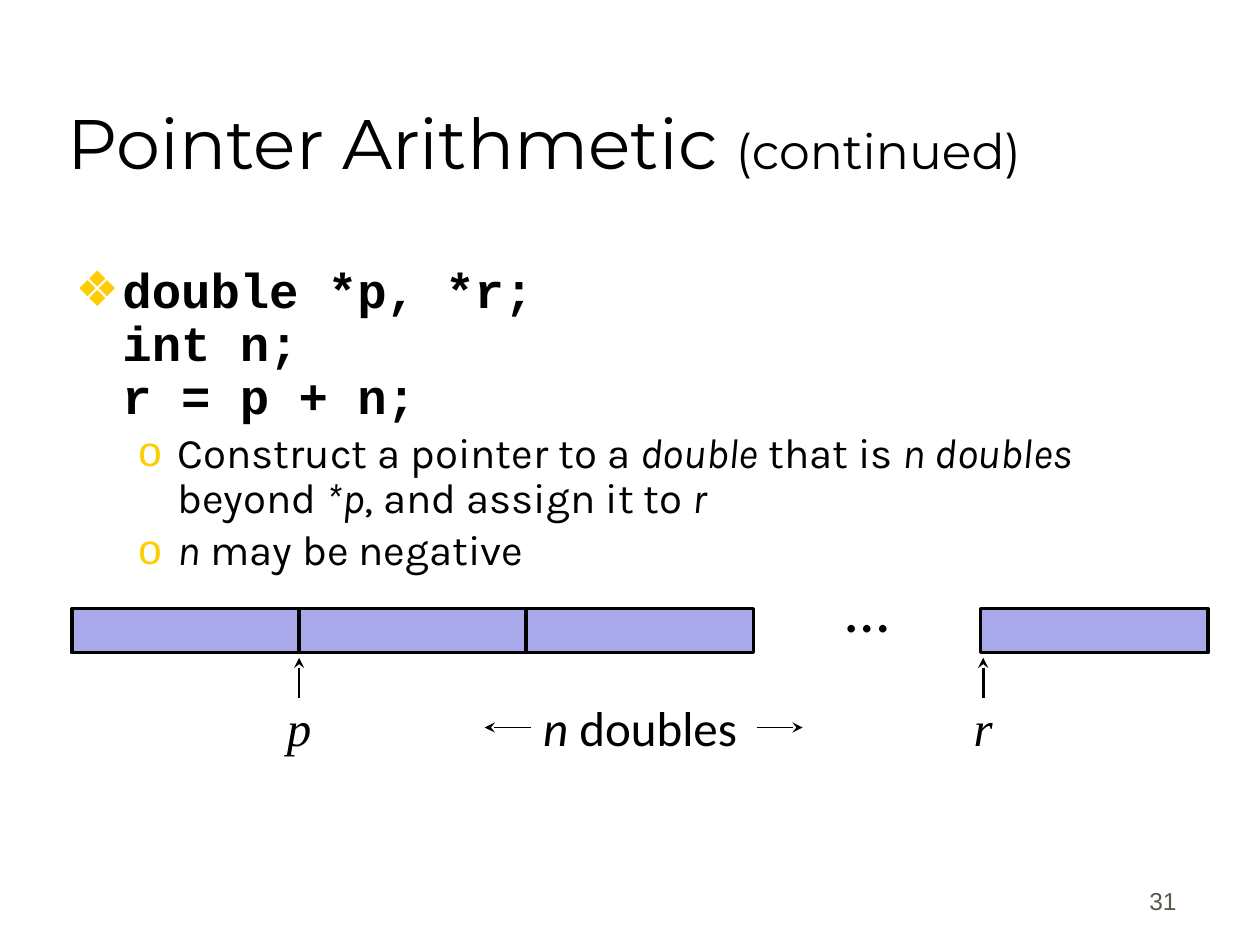
from lxml import etree
from pptx import Presentation
from pptx.dml.color import RGBColor
from pptx.enum import shapes, text
from pptx.oxml import ns
from pptx.util import Cm, Pt

BLACK, GOLD, LILAC, GREY = "000000", "FFCC00", "A8A8EA", "5E574E"
ALIGN = text.PP_ALIGN


def rgb(value):
    return RGBColor.from_string(value)


def add_text(s, box, paragraphs, wrap=True, grow=False, inset=None,
             anchor=text.MSO_ANCHOR.TOP, **fmt):
    """Add a text box; each paragraph is (runs, options), box is in cm."""
    tf = s.shapes.add_textbox(*map(Cm, box)).text_frame
    tf.word_wrap = wrap
    tf.vertical_anchor = anchor
    tf.auto_size = (text.MSO_AUTO_SIZE.SHAPE_TO_FIT_TEXT if grow
                    else text.MSO_AUTO_SIZE.NONE)
    if inset is not None:
        tf.margin_left = tf.margin_top = tf.margin_right = tf.margin_bottom = Cm(inset)
    for i, (runs, options) in enumerate(paragraphs):
        p = tf.add_paragraph() if i else tf.paragraphs[0]
        fill_paragraph(p, runs, **{**fmt, **options})
    return tf


def fill_paragraph(p, runs, align=ALIGN.LEFT, before=0, spacing=None,
                   bullet=None, indent=None, **font):
    p.alignment = align
    p.space_before = Pt(before)
    if spacing:
        p.line_spacing = spacing
    if bullet:
        add_bullet(p, bullet, *indent)
    for content, changes in runs:
        for i, line in enumerate(content.split("\n")):
            if i:
                p.add_line_break()
            add_run(p, line, **{**font, **changes})


def add_run(p, content, size, name, color=BLACK, bold=False, italic=False):
    r = p.add_run()
    r.text = content
    r.font.size, r.font.name = Pt(size), name
    r.font.bold, r.font.italic = bold, italic
    r.font.color.rgb = rgb(color)


def add_bullet(p, char, left, hanging):
    pPr = p._p.get_or_add_pPr()
    pPr.set("marL", str(Cm(left)))
    pPr.set("indent", str(-Cm(hanging)))
    color = etree.SubElement(pPr, ns.qn("a:buClr"))
    etree.SubElement(color, ns.qn("a:srgbClr"), val=GOLD)
    etree.SubElement(pPr, ns.qn("a:buFont"), typeface="Arial")
    etree.SubElement(pPr, ns.qn("a:buChar"), char=char)


def add_arrow(s, x1, y1, x2, y2, width):
    line = s.shapes.add_connector(shapes.MSO_CONNECTOR.STRAIGHT,
                                  Cm(x1), Cm(y1), Cm(x2), Cm(y2))
    line.line.color.rgb = rgb(BLACK)
    line.line.width = Pt(width)
    etree.SubElement(line.line._get_or_add_ln(), ns.qn("a:tailEnd"), type="stealth")
    etree.SubElement(line._element.spPr, ns.qn("a:effectLst"))


def add_title(s, box):
    runs = [("Pointer Arithmetic ", {}), ("(continued)", {"size": 28})]
    add_text(s, box, [(runs, {})], anchor=text.MSO_ANCHOR.BOTTOM,
             size=40, name="Montserrat")


def add_body(s, box):
    it = {"italic": True}
    code = dict(size=28, name="Courier New", bold=True, before=0,
                bullet="❖", indent=(0.95, 0.95))
    construct = [("Construct a pointer to a ", {}), ("double", it), (" that is ", {}),
                 ("n doubles", it), (" beyond ", {}), ("*p", it),
                 (", and assign it to ", {}), ("r", it)]
    negative = [("n", it), (" may be negative", {})]
    add_text(s, box,
             [([("double *p, *r;\nint n;\nr = p + n;", {})], code),
              (construct, {}), (negative, {})],
             size=24, name="Karla", before=4, spacing=0.9,
             bullet="o", indent=(2.06, 0.79))


def add_memory(s, left, top, width, height):
    """Draw an array of five cells, the fourth elided, with its pointers."""
    cell = width / 5
    for i in (0, 1, 2, 4):
        sp = s.shapes.add_shape(shapes.MSO_SHAPE.RECTANGLE, Cm(left + i * cell),
                                Cm(top), Cm(cell), Cm(height))
        sp.shadow.inherit = False
        sp.fill.solid()
        sp.fill.fore_color.rgb = rgb(LILAC)
        sp.line.color.rgb = rgb(BLACK)
        sp.line.width = Pt(2)
    add_text(s, (left + 3 * cell, top - 0.92, cell, 1.8), [([("…", {})], {})],
             grow=True, align=ALIGN.CENTER, size=36, name="Calibri")

    label_top = top + height + 0.91
    add_pointer(s, "p", left + cell, label_top)
    add_pointer(s, "r", left + 4 * cell + 0.05, label_top)
    add_distance(s, left + 2.02 * cell, label_top - 0.13, 4.55, 1.45)


def add_pointer(s, name, x, top):
    add_text(s, (x - 0.25, top, 0.5, 1.2), [([(name, {})], {})], wrap=False,
             grow=True, inset=0, align=ALIGN.CENTER, size=28,
             name="Times New Roman", italic=True)
    add_arrow(s, x, top, x, top - 0.81, 1.5)


def add_distance(s, left, top, width, height):
    """Write the distance between the pointers, with an arrow on each side."""
    add_text(s, (left, top, width, height),
             [([("n ", {"italic": True}), ("doubles", {})], {})],
             wrap=False, grow=True, size=28, name="Calibri")
    y = top + height / 2
    for x, reach in ((left, -0.93), (left + width, 0.93)):
        add_arrow(s, x, y, x + reach, y, 1)


def add_page_number(s, box):
    add_text(s, box, [([("31", {})], {})], anchor=text.MSO_ANCHOR.BOTTOM,
             align=ALIGN.RIGHT, size=14, name="Arial", color=GREY)


def main():
    prs = Presentation()
    prs.slide_width, prs.slide_height = Cm(25.4), Cm(19.05)
    s = prs.slides.add_slide(prs.slide_layouts[6])
    add_title(s, (1.11, 0.64, 21.59, 3.18))
    add_body(s, (1.27, 5.24, 22.7, 11.58))
    add_memory(s, 1.45, 12.27, 22.9, 0.89)
    add_page_number(s, (18.69, 17.3, 5.28, 1.27))
    prs.save("out.pptx")


if __name__ == "__main__":
    main()
